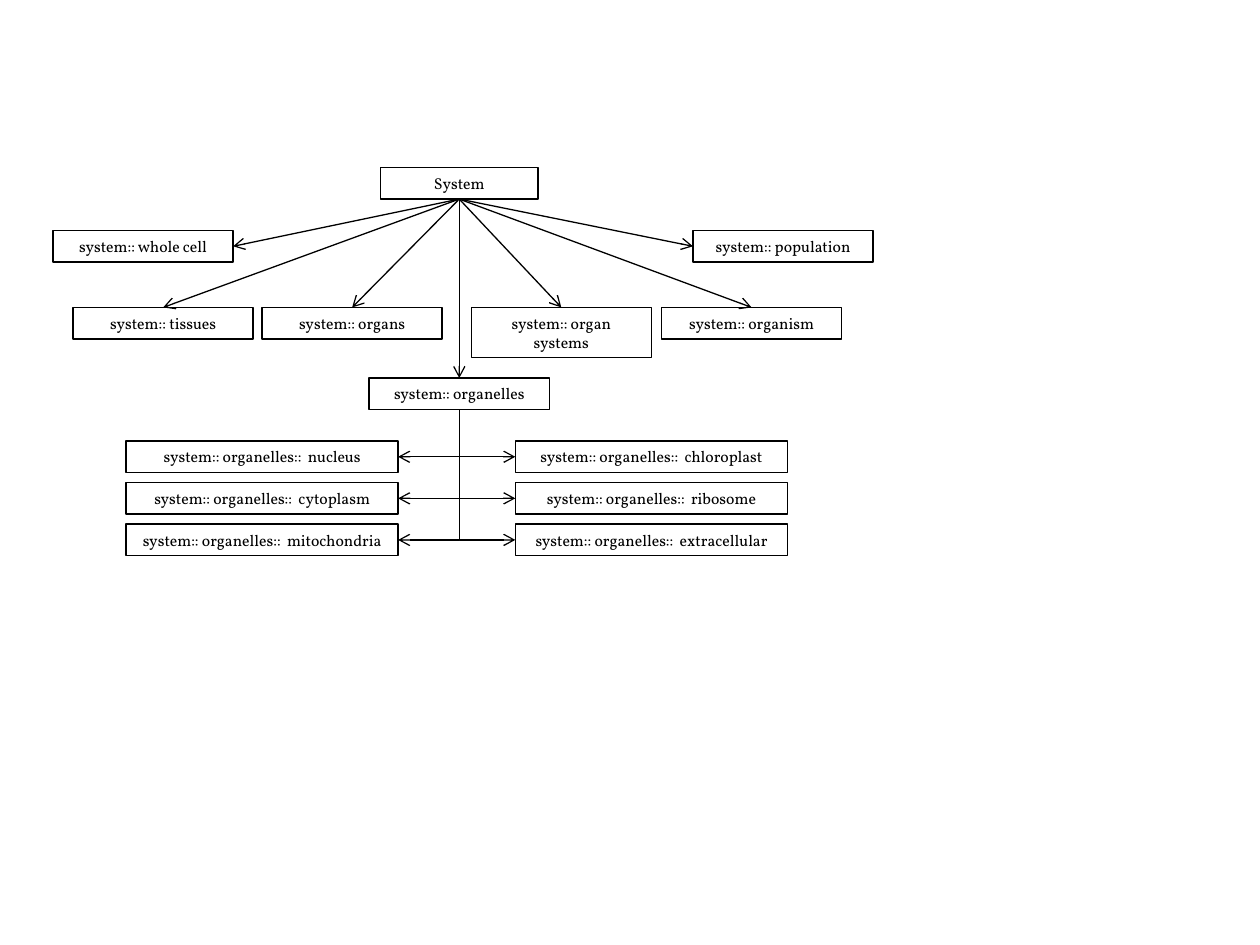
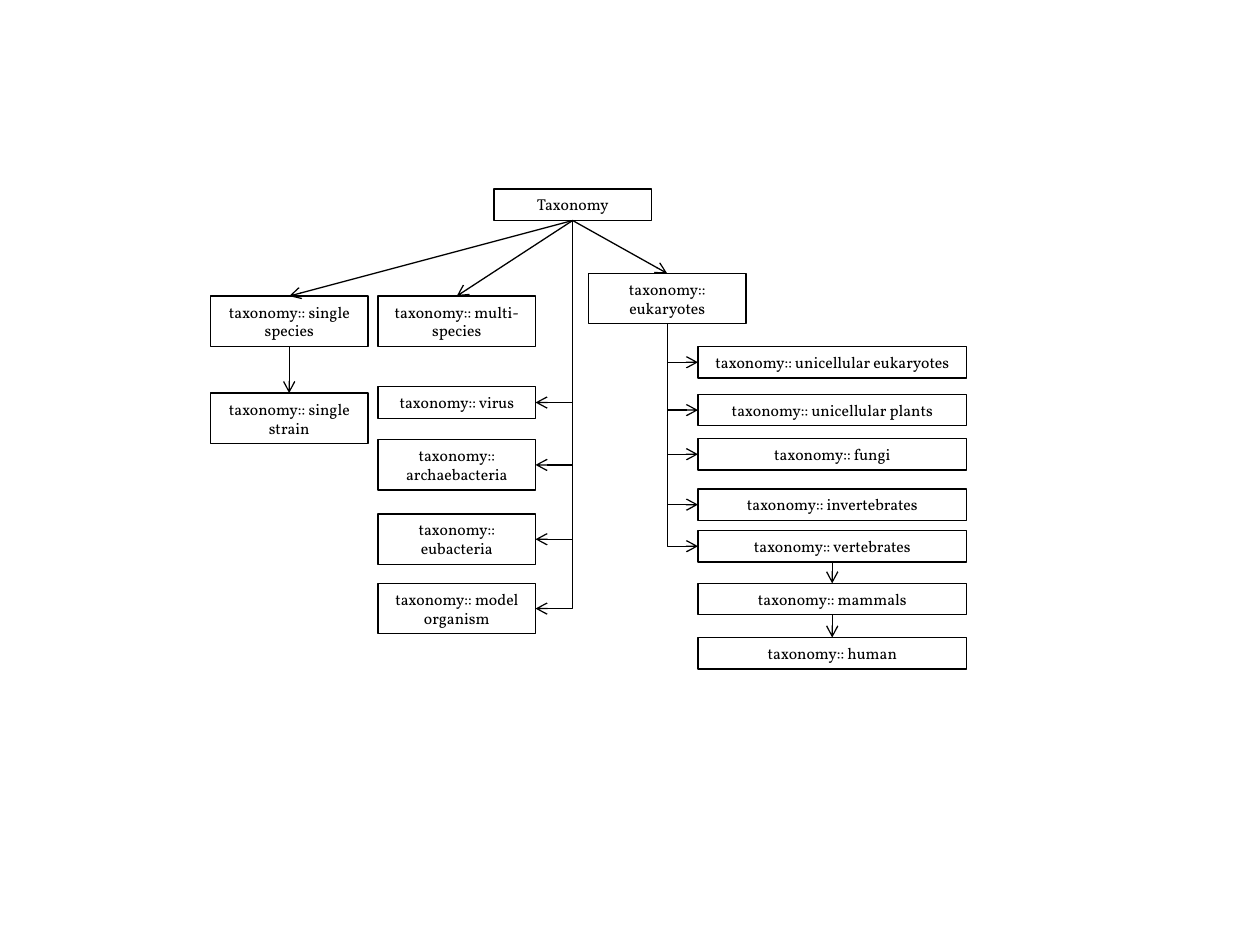
from pptx import Presentation
from pptx.dml.color import RGBColor
from pptx.enum.shapes import MSO_CONNECTOR, MSO_SHAPE
from pptx.enum.text import MSO_ANCHOR, MSO_AUTO_SIZE, PP_ALIGN
from pptx.util import Inches, Pt
from lxml.etree import SubElement
from pptx.oxml.ns import qn

INK = "000000"
FONT = {"name": "Vollkorn", "size": Pt(9)}
FRAME = {"word_wrap": True, "auto_size": MSO_AUTO_SIZE.SHAPE_TO_FIT_TEXT,
         "vertical_anchor": MSO_ANCHOR.TOP}
LINE_WIDTH = Pt(0.75)
ONE_LINE, TWO_LINES = 0.25, 0.4
TOP, LEFT, BOTTOM, RIGHT = range(4)

ORGANELLE_COLUMNS = [
    (1, ["nucleus", "cytoplasm", "mitochondria"]),
    (4.09, ["chloroplast", "ribosome", "extracellular"]),
]
ORGANELLES_TOP, ORGANELLES_STEP, ORGANELLES_WIDTH = 3.5, 0.33, 2.16

SYSTEM_BOXES = [
    ("System", 3.02, 1.33, 1.25, ONE_LINE),
    ("system:: organelles", 2.93, 3, 1.43, ONE_LINE),
    ("system:: whole cell", 0.42, 1.83, 1.43, ONE_LINE),
    ("system:: tissues", 0.58, 2.44, 1.43, ONE_LINE),
    ("system:: organs", 2.08, 2.44, 1.43, ONE_LINE),
    ("system:: organ systems", 3.74, 2.44, 1.43, TWO_LINES),
    ("system:: organism", 5.25, 2.44, 1.43, ONE_LINE),
    ("system:: population", 5.5, 1.83, 1.43, ONE_LINE),
] + [
    (f"system:: organelles::  {name}", left, ORGANELLES_TOP + i * ORGANELLES_STEP,
     ORGANELLES_WIDTH, ONE_LINE)
    for left, names in ORGANELLE_COLUMNS for i, name in enumerate(names)
]
SYSTEM_LINKS = [
    ("System", TOP, False, ["system:: organelles", "system:: tissues", "system:: organs",
                            "system:: organ systems", "system:: organism"]),
    ("System", RIGHT, False, ["system:: whole cell"]),
    ("System", LEFT, False, ["system:: population"]),
] + [
    ("system:: organelles", side, True, [f"system:: organelles::  {name}" for name in names])
    for side, (left, names) in zip((RIGHT, LEFT), ORGANELLE_COLUMNS)
]

PROKARYOTES = [("virus", 3.07, ONE_LINE), ("archaebacteria", 3.49, TWO_LINES),
               ("eubacteria", 4.08, TWO_LINES), ("model organism", 4.63, TWO_LINES)]
EUKARYOTES = [("unicellular eukaryotes", 2.75), ("unicellular plants", 3.13), ("fungi", 3.48),
              ("invertebrates", 3.88), ("vertebrates", 4.21), ("mammals", 4.63), ("human", 5.06)]

TAXONOMY_BOXES = [
    ("Taxonomy", 3.92, 1.5, 1.25, ONE_LINE),
    ("taxonomy:: single species", 1.67, 2.35, 1.25, TWO_LINES),
    ("taxonomy:: single strain", 1.67, 3.12, 1.25, TWO_LINES),
    ("taxonomy:: multi-species", 3, 2.35, 1.25, TWO_LINES),
    ("taxonomy:: eukaryotes", 4.67, 2.17, 1.25, TWO_LINES),
] + [
    (f"taxonomy:: {name}", 3, top, 1.25, height) for name, top, height in PROKARYOTES
] + [
    (f"taxonomy:: {name}", 5.54, top, 2.13, ONE_LINE) for name, top in EUKARYOTES
]
TAXONOMY_LINKS = [
    ("Taxonomy", TOP, False, ["taxonomy:: eukaryotes", "taxonomy:: multi-species",
                              "taxonomy:: single species"]),
    ("taxonomy:: single species", TOP, False, ["taxonomy:: single strain"]),
    ("Taxonomy", RIGHT, True, [f"taxonomy:: {name}" for name, *_ in PROKARYOTES]),
    ("taxonomy:: eukaryotes", LEFT, True, [f"taxonomy:: {name}" for name, _ in EUKARYOTES[:5]]),
    ("taxonomy:: vertebrates", TOP, False, ["taxonomy:: mammals"]),
    ("taxonomy:: mammals", TOP, False, ["taxonomy:: human"]),
]
SLIDES = [(SYSTEM_BOXES, SYSTEM_LINKS), (TAXONOMY_BOXES, TAXONOMY_LINKS)]


def rgb(value):
    return RGBColor.from_string(value)


def apply(target, values):
    for name, value in values.items():
        setattr(target, name, value)


def draw_line(line):
    line.color.rgb = rgb(INK)
    line.width = LINE_WIDTH


def add_box(s, text, *place):
    sp = s.shapes.add_shape(MSO_SHAPE.RECTANGLE, *map(Inches, place))
    sp.shadow.inherit = False
    sp.fill.background()
    draw_line(sp.line)
    tf = sp.text_frame
    apply(tf, FRAME)
    p = tf.paragraphs[0]
    p.alignment = PP_ALIGN.CENTER
    r = p.add_run()
    r.text = text
    apply(r.font, FONT)
    r.font.color.rgb = rgb(INK)
    return sp


def bend_down_first(cxn):
    x1, y1, x2, y2 = cxn.begin_x, cxn.begin_y, cxn.end_x, cxn.end_y
    across, down = abs(x2 - x1), abs(y2 - y1)
    apply(cxn, {"left": (x1 + x2 - down) // 2, "top": (y1 + y2 - across) // 2,
                "width": down, "height": across})
    spPr = cxn.line._get_or_add_ln().getparent()
    spPr.find(qn("a:prstGeom")).set("prst", "bentConnector2")
    xfrm = spPr.find(qn("a:xfrm"))
    xfrm.attrib.pop("flipH", None)
    xfrm.attrib.pop("flipV", None)
    xfrm.set("rot", str((90 if x2 < x1 else 270) * 60000))
    if x2 > x1:
        xfrm.set("flipH", "1")


def add_arrow(s, parent, child, side, bent):
    kind = MSO_CONNECTOR.ELBOW if bent else MSO_CONNECTOR.STRAIGHT
    cxn = s.shapes.add_connector(kind, 0, 0, 0, 0)
    cxn.begin_connect(parent, BOTTOM)
    cxn.end_connect(child, side)
    draw_line(cxn.line)
    ln = cxn.line._get_or_add_ln()
    SubElement(ln, qn("a:tailEnd"), type="arrow")
    SubElement(ln.getparent(), qn("a:effectLst"))
    if bent:
        bend_down_first(cxn)


def main():
    prs = Presentation()
    prs.slide_width, prs.slide_height = Inches(10), Inches(7.5)
    for boxes, links in SLIDES:
        s = prs.slides.add_slide(prs.slide_layouts[6])
        shapes = {text: add_box(s, text, *place) for text, *place in boxes}
        for parent, side, bent, children in links:
            for child in children:
                add_arrow(s, shapes[parent], shapes[child], side, bent)
    prs.save("out.pptx")


if __name__ == "__main__":
    main()
